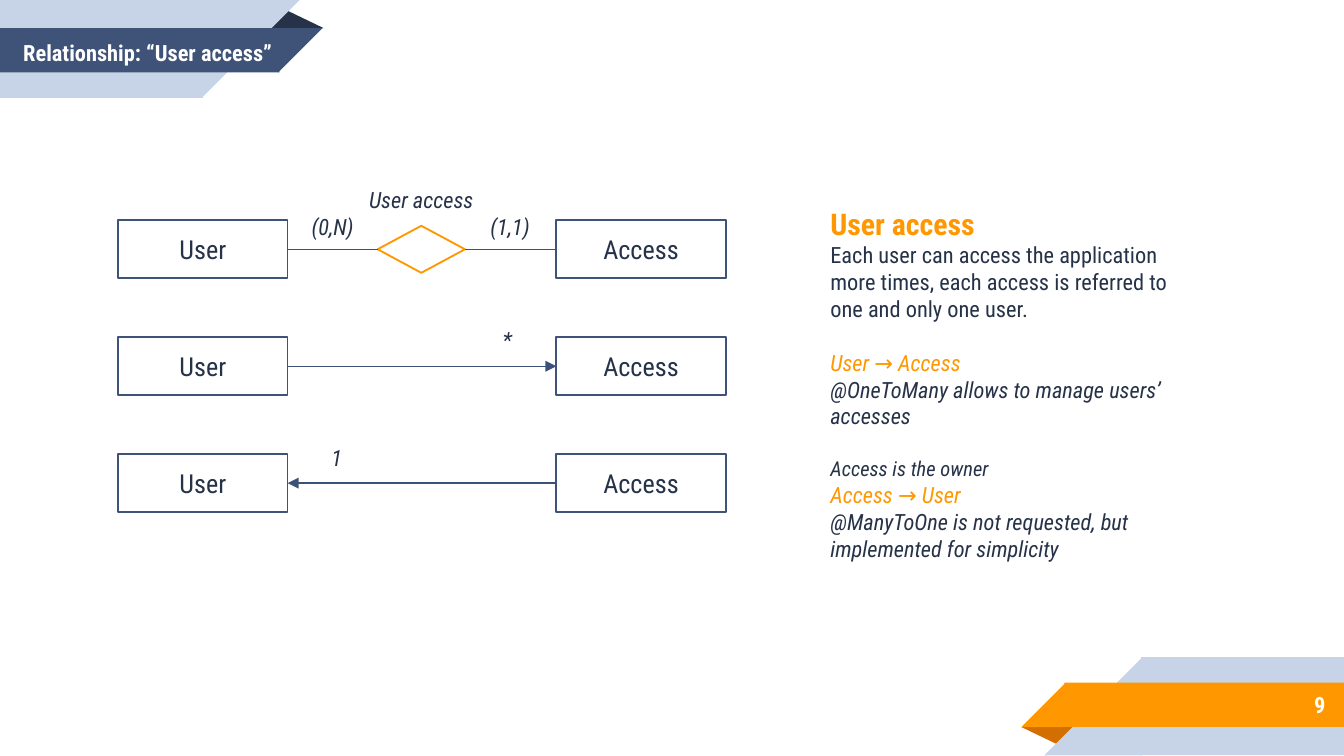
from dataclasses import dataclass

from lxml.etree import SubElement
from pptx import Presentation
from pptx.dml.color import RGBColor
from pptx.enum.shapes import MSO_CONNECTOR, MSO_SHAPE as Shape
from pptx.enum.text import MSO_ANCHOR as Anchor, PP_ALIGN as Align
from pptx.oxml.ns import qn
from pptx.util import Inches, Pt

LEFT, RIGHT = 1, 3  # connection sites
OVERLAP = 0.01  # hides the seam between a bar and its slanted end


@dataclass(frozen=True)
class Theme:
    font: str = "Roboto Condensed"
    dark: str = "263248"
    navy: str = "3F5378"
    outline: str = "3F5278"
    link: str = "3C5177"
    pale: str = "C7D3E6"
    orange: str = "FF9800"
    burnt: str = "D26F00"
    white: str = "FFFFFF"
    heading: int = 16
    entity: int = 14
    body: int = 12
    small: int = 11


class SlideBuilder:
    def __init__(self, slide, theme):
        self.slide = slide
        self.theme = theme

    def shape(self, kind, box, fill, line=None, rotation=0):
        shape = self.slide.shapes.add_shape(kind, *map(Inches, box))
        shape.shadow.inherit = False
        shape.rotation = rotation
        shape.fill.solid()
        shape.fill.fore_color.rgb = RGBColor.from_string(fill)
        if line:
            shape.line.color.rgb = RGBColor.from_string(line)
            shape.line.width = Pt(1)
        else:
            shape.line.fill.background()
        return shape

    def style(self, paragraph, size, color, bold=False, italic=False):
        font = paragraph.font
        font.name, font.size = self.theme.font, Pt(size)
        font.bold, font.italic = bold, italic
        font.color.rgb = RGBColor.from_string(color)

    def entity(self, name, left, top):
        shape = self.shape(Shape.RECTANGLE, (left, top, 1.26, 0.43),
                           self.theme.white, self.theme.outline)
        frame = shape.text_frame
        frame.vertical_anchor = Anchor.MIDDLE
        paragraph = frame.paragraphs[0]
        paragraph.text = name
        paragraph.alignment = Align.CENTER
        self.style(paragraph, self.theme.entity, self.theme.dark)
        return shape

    def text_box(self, box):
        frame = self.slide.shapes.add_textbox(*map(Inches, box)).text_frame
        frame.word_wrap = True
        return frame

    def label(self, text, box, color, align=Align.CENTER, before=0, **emphasis):
        """Add one line of text, centred vertically in its box."""
        frame = self.text_box(box)
        frame.vertical_anchor = Anchor.MIDDLE
        frame.margin_top = frame.margin_bottom = Inches(0.1)
        paragraph = frame.paragraphs[0]
        paragraph.text = text
        paragraph.alignment = align
        paragraph.space_before = Pt(before)
        self.style(paragraph, self.theme.body, color, **emphasis)

    def note(self, text, left, top, width=0.65):
        self.label(text, (left, top, width, 0.27), self.theme.dark,
                   before=6, italic=True)

    def link(self, start, end, arrow=False):
        """Join the facing sides of two shapes, start being on either side."""
        rightward = start.left < end.left
        connector = self.slide.shapes.add_connector(
            MSO_CONNECTOR.STRAIGHT, 0, 0, 0, 0)
        connector.begin_connect(start, RIGHT if rightward else LEFT)
        connector.end_connect(end, LEFT if rightward else RIGHT)
        connector.line.color.rgb = RGBColor.from_string(self.theme.link)
        connector.line.width = Pt(0.75)
        if arrow:
            SubElement(connector.line._get_or_add_ln(), qn("a:tailEnd"),
                       type="triangle")
        SubElement(connector._element.spPr, qn("a:effectLst"))

    def ribbon(self, fold, fold_color, pale_box, band_box, band_color,
               slant_left, rotation):
        """Draw a fold, then two bars that each end in a slanted edge."""
        triangle = self.shape(Shape.ISOSCELES_TRIANGLE, (*fold, 0.43, 0.14),
                              fold_color, rotation=180 if slant_left else 0)
        triangle.adjustments[0] = 0.324
        for box, color in ((pale_box, self.theme.pale), (band_box, band_color)):
            left, top, width, height = box
            self.shape(Shape.RECTANGLE, box, color)
            corner = (left - height + OVERLAP if slant_left
                      else left + width - OVERLAP)
            self.shape(Shape.RIGHT_TRIANGLE, (corner, top, height, height),
                       color, rotation=rotation)

    def paragraphs(self, box, rows):
        frame = self.text_box(box)
        for index, (text, size, color, before, emphasis) in enumerate(rows):
            paragraph = frame.add_paragraph() if index else frame.paragraphs[0]
            paragraph.text = text
            paragraph.space_before = Pt(before)
            self.style(paragraph, size, color, **emphasis)


def main():
    theme = Theme()
    presentation = Presentation()
    presentation.slide_width = Inches(10)
    presentation.slide_height = presentation.slide_width * 9 // 16
    slide = presentation.slides.add_slide(presentation.slide_layouts[6])
    builder = SlideBuilder(slide, theme)

    builder.ribbon((1.98, 0.07), theme.dark, (0, 0, 1.51, 0.73),
                   (0, 0.21, 2.08, 0.33), theme.navy, False, 90)
    builder.ribbon((7.6, 5.41), theme.burnt, (8.49, 4.89, 1.51, 0.73),
                   (7.92, 5.08, 2.08, 0.33), theme.orange, True, 270)
    builder.label("9", (8.33, 5.07, 1.63, 0.35), theme.white,
                  Align.RIGHT, bold=True)
    builder.label("Relationship: “User access”", (0.02, 0.23, 2.16, 0.33),
                  theme.white, bold=True)

    rows = []
    for index in range(3):
        top = 1.64 + 0.87 * index
        rows.append((builder.entity("User", 0.88, top),
                     builder.entity("Access", 4.14, top)))
    (user, access), (one_user, many_accesses), (owner_user, owner_access) = rows

    plain, bold, italic = {}, {"bold": True}, {"italic": True}
    body, gap = theme.body, 14.4
    builder.paragraphs((6.08, 1.48, 2.88, 3), [
        ("User access", theme.heading, theme.orange, 0, bold),
        ("Each user can access the application more times, each access is "
         "referred to one and only one user.", body, theme.dark, 0, plain),
        ("User → Access", body, theme.orange, gap, italic),
        ("@OneToMany allows to manage users’ accesses",
         body, theme.dark, 0, italic),
        ("Access is the owner", theme.small, theme.dark, gap, italic),
        ("Access → User", body, theme.orange, 0, italic),
        ("@ManyToOne is not requested, but implemented for simplicity",
         body, theme.dark, 0, italic),
    ])

    relationship = builder.shape(Shape.DIAMOND, (2.81, 1.68, 0.65, 0.35),
                                 theme.white, theme.orange)
    builder.link(user, relationship)
    builder.link(relationship, access)
    builder.link(one_user, many_accesses, arrow=True)
    builder.link(owner_access, owner_user, arrow=True)

    builder.note("User access", 2.63, 1.35, 1.01)
    builder.note("(0,N)", 2.15, 1.55)
    builder.note("(1,1)", 3.47, 1.55)
    builder.note("*", 3.45, 2.39)
    builder.note("1", 2.18, 3.27)

    presentation.save("out.pptx")


if __name__ == "__main__":
    main()
